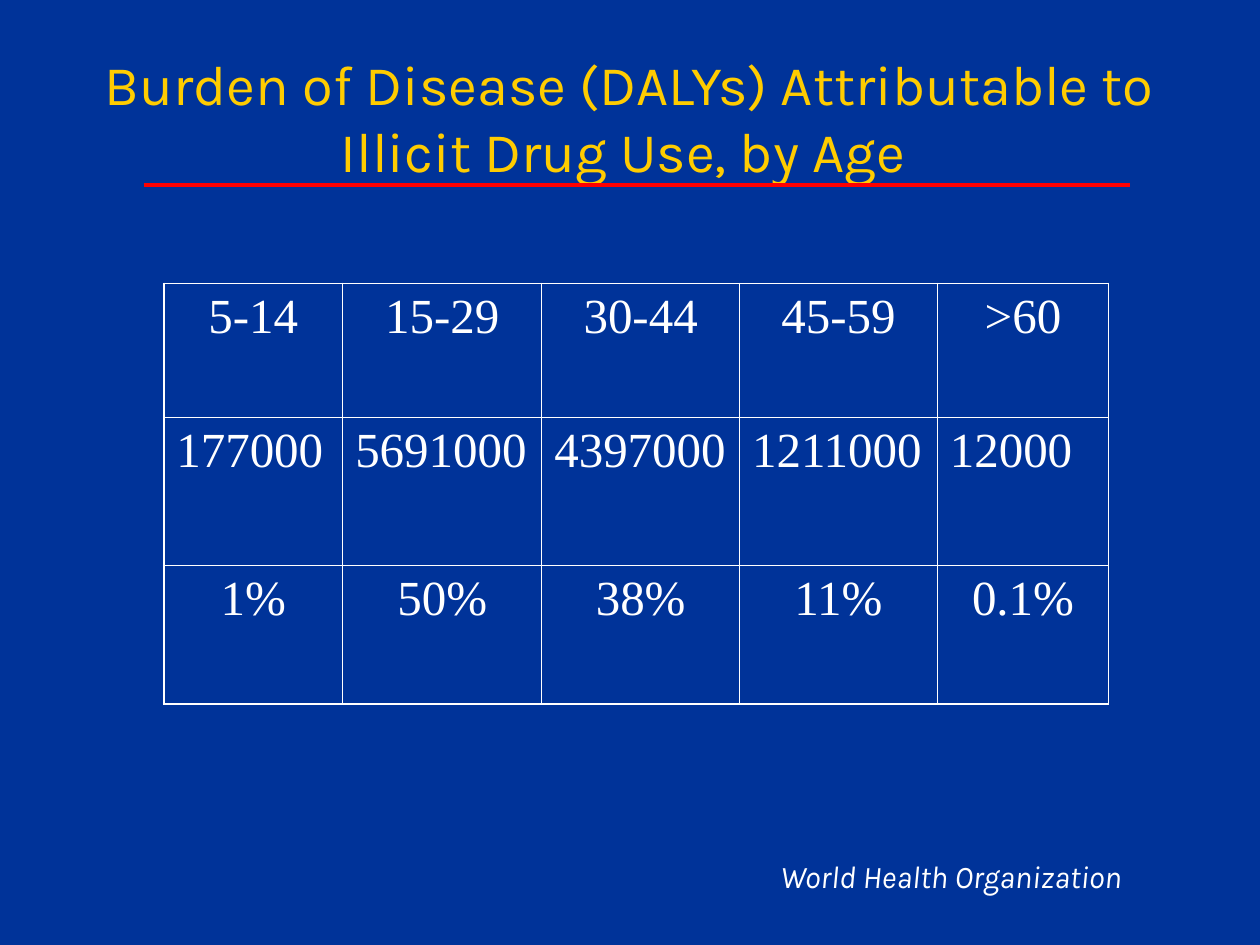
import pptx
import pptx.util
import pptx.dml.color
import pptx.enum.shapes
import pptx.enum.text
import pptx.oxml
from lxml import etree

COLORS = {"background": "003399", "title": "FFCC00", "rule": "FF0000", "text": "FFFFFF"}
HEADING_FONT, TABLE_FONT = "Karla", "Times New Roman"
ALIGN = pptx.enum.text.PP_ALIGN
Inches, Pt = pptx.util.Inches, pptx.util.Pt
rgb = pptx.dml.color.RGBColor.from_string


def write(frame, words, align, size, font, color, italic=False):
    frame.word_wrap = True
    paragraph = frame.paragraphs[0]
    paragraph.text = words
    paragraph.alignment = align
    for run in paragraph.runs:
        run.font.size = Pt(size)
        run.font.name = font
        run.font.italic = italic
        run.font.color.rgb = rgb(COLORS[color])


def draw_border(cell, side, points):
    line = etree.SubElement(cell._tc.get_or_add_tcPr(), pptx.oxml.ns.qn(f"a:{side}"),
                            w=str(Pt(points)))
    fill = etree.SubElement(line, pptx.oxml.ns.qn("a:solidFill"))
    etree.SubElement(fill, pptx.oxml.ns.qn("a:srgbClr"), val=COLORS["text"])


# Slide
deck = pptx.Presentation()
deck.slide_width, deck.slide_height = Inches(10), Inches(7.5)
W, H = deck.slide_width, deck.slide_height
slide = deck.slides.add_slide(deck.slide_layouts[6])
slide.background.fill.solid()
slide.background.fill.fore_color.rgb = rgb(COLORS["background"])

# Title
title = slide.shapes.add_textbox(int(W * 0.05), int(H * 0.04), int(W * 0.9), Inches(1.25))
title.text_frame.vertical_anchor = pptx.enum.text.MSO_ANCHOR.MIDDLE
write(title.text_frame, "Burden of Disease (DALYs) Attributable to Illicit Drug Use, by Age ",
      ALIGN.CENTER, 32, HEADING_FONT, "title")

# Rule under the title
rule_y = Inches(1.47)
rule = slide.shapes.add_connector(pptx.enum.shapes.MSO_CONNECTOR.STRAIGHT,
                                  Inches(1.14), rule_y, Inches(8.97), rule_y)
rule.line.color.rgb = rgb(COLORS["rule"])
rule.line.width = Pt(2)
etree.SubElement(rule._element.spPr, pptx.oxml.ns.qn("a:effectLst"))

# Source
source = slide.shapes.add_textbox(Inches(1.42), int(H * 0.9), Inches(7.58), Inches(0.4))
write(source.text_frame, "World Health Organization", ALIGN.RIGHT, 18, HEADING_FONT, "text",
      italic=True)

# Table: age groups, DALYs, share of the total
burden = [
    ["5-14", "15-29", "30-44", "45-59", ">60"],
    ["177000", "5691000", "4397000", "1211000", "12000"],
    ["1%", "50%", "38%", "11%", "0.1%"],
]
row_aligns = [ALIGN.CENTER, ALIGN.LEFT, ALIGN.CENTER]
column_widths = [1.42, 1.58, 1.57, 1.57, 1.36]
row_heights = [1.06, 1.18, 1.1]
OUTER, INNER = 1.08, 0.45

table = slide.shapes.add_table(len(row_heights), len(column_widths), int(W * 0.13), int(H * 0.3),
                               Inches(sum(column_widths)), Inches(sum(row_heights))).table
table.first_row = table.horz_banding = False
for column, width in zip(table.columns, column_widths):
    column.width = Inches(width)
for row, height in zip(table.rows, row_heights):
    row.height = Inches(height)

last_row, last_column = len(row_heights) - 1, len(column_widths) - 1
for r, values in enumerate(burden):
    for c, value in enumerate(values):
        cell = table.cell(r, c)
        write(cell.text_frame, value, row_aligns[r], 28, TABLE_FONT, "text")
        on_edge = {"lnL": c == 0, "lnR": c == last_column, "lnT": r == 0, "lnB": r == last_row}
        for side, is_outer in on_edge.items():
            draw_border(cell, side, OUTER if is_outer else INNER)
        cell.fill.background()

deck.save("out.pptx")
